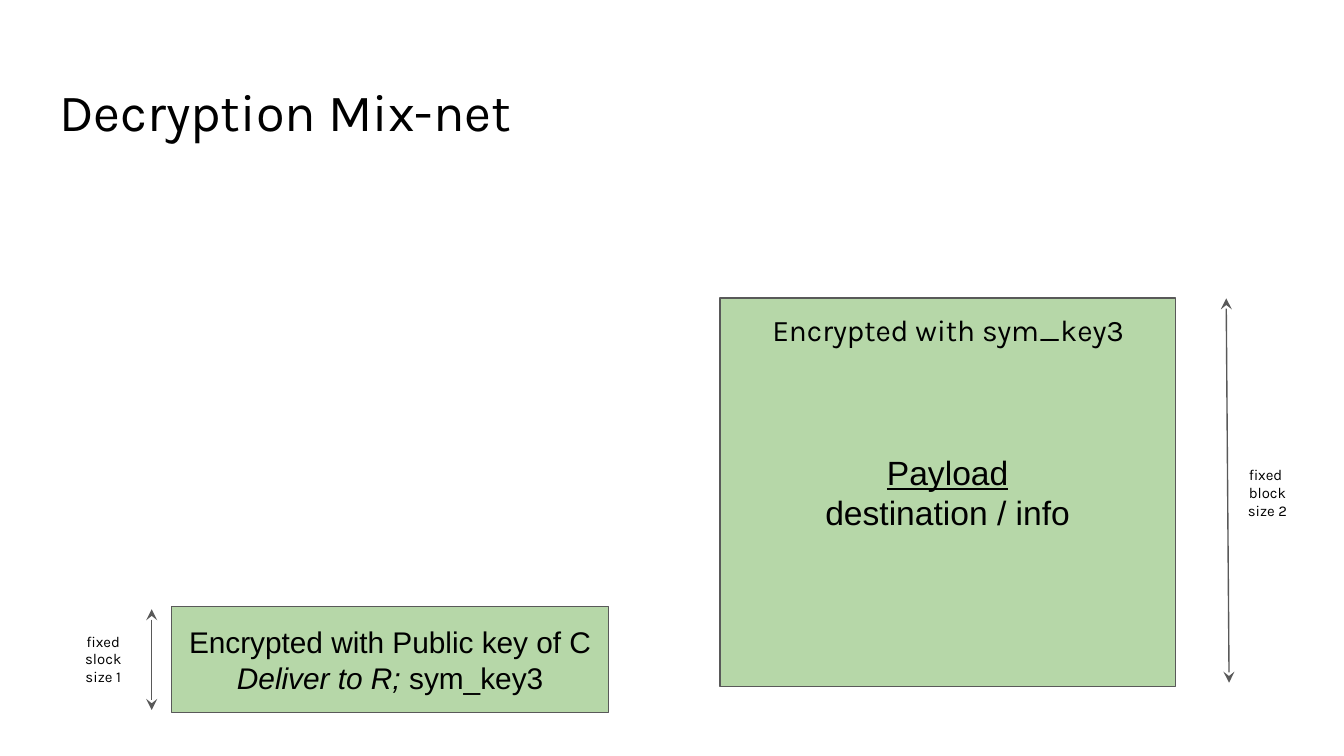
from dataclasses import dataclass

from lxml.etree import SubElement
from pptx import Presentation
from pptx.dml.color import RGBColor
from pptx.enum.shapes import MSO_CONNECTOR, MSO_SHAPE
from pptx.enum.text import MSO_ANCHOR, PP_ALIGN
from pptx.oxml.ns import qn
from pptx.util import Inches, Pt


@dataclass(frozen=True)
class Theme:
    """Colours, fonts and type sizes of the deck."""
    ink: RGBColor = RGBColor(0x00, 0x00, 0x00)
    edge: RGBColor = RGBColor(0x59, 0x59, 0x59)
    cipher: RGBColor = RGBColor(0xB6, 0xD7, 0xA8)
    display: str = "Karla"
    body: str = "Arial"
    title: int = 28
    payload: int = 18
    block: int = 16
    label: int = 8
    stroke: float = 0.75


def write(paragraph, text, *, size, font, color, italic=False, underline=False):
    """Append formatted text to a paragraph."""
    run = paragraph.add_run()
    run.text = text
    run.font.size = Pt(size)
    run.font.name = font
    run.font.color.rgb = color
    run.font.italic = italic
    run.font.underline = underline


class SlideBuilder:
    """Draw elements on a grid of tenth-inch columns and rows."""

    def __init__(self, slide, theme):
        """Keep the current slide and its style."""
        self.slide = slide
        self.theme = theme

    def cells(self, *lengths):
        """Convert grid columns or rows to slide lengths."""
        return [Inches(length / 10) for length in lengths]

    def fill_text(self, shape, lines, size, font, align, anchor):
        """Write lines, each a list of (text, emphasis) pairs."""
        frame = shape.text_frame
        frame.word_wrap = True
        frame.vertical_anchor = anchor
        frame.margin_left = frame.margin_right = Inches(0.1)
        frame.margin_top = frame.margin_bottom = Inches(0.1)
        for index, line in enumerate(lines):
            paragraph = frame.add_paragraph() if index else frame.paragraphs[0]
            paragraph.alignment = align
            for text, emphasis in line:
                write(paragraph, text, size=size, font=font,
                      color=self.theme.ink, **emphasis)

    def text(self, area, lines, size, align=PP_ALIGN.CENTER):
        """Add display text in a transparent box."""
        box = self.slide.shapes.add_textbox(*self.cells(*area))
        self.fill_text(box, [[(line, {})] for line in lines], size,
                       self.theme.display, align, MSO_ANCHOR.TOP)

    def block(self, area, lines, size):
        """Add a block of encrypted content."""
        block = self.slide.shapes.add_shape(MSO_SHAPE.RECTANGLE, *self.cells(*area))
        block.shadow.inherit = False
        block.fill.solid()
        block.fill.fore_color.rgb = self.theme.cipher
        block.line.color.rgb = self.theme.edge
        block.line.width = Pt(self.theme.stroke)
        self.fill_text(block, lines, size, self.theme.body,
                       PP_ALIGN.CENTER, MSO_ANCHOR.MIDDLE)

    def span(self, start, end):
        """Add a double-headed size arrow."""
        arrow = self.slide.shapes.add_connector(
            MSO_CONNECTOR.STRAIGHT, *self.cells(*start, *end))
        arrow.line.color.rgb = self.theme.edge
        arrow.line.width = Pt(self.theme.stroke)
        outline = arrow.line._get_or_add_ln()
        for tag in ("a:headEnd", "a:tailEnd"):
            SubElement(outline, qn(tag), type="stealth", w="med", len="med")
        SubElement(arrow._element.spPr, qn("a:effectLst"))


def main():
    """Build the slide on decryption mix-nets."""
    deck = Presentation()
    deck.slide_width = Inches(10)
    deck.slide_height = deck.slide_width * 9 // 16
    theme = Theme()
    builder = SlideBuilder(deck.slides.add_slide(deck.slide_layouts[6]), theme)

    builder.text((3.41, 4.87, 93.2, 6.3), ["Decryption Mix-net"],
                 theme.title, PP_ALIGN.LEFT)

    builder.block((12.78, 45.13, 32.5, 7.9), [
        [("Encrypted with Public key of C", {})],
        [("Deliver to R;", {"italic": True}), (" sym_key3", {})],
    ], theme.block)
    builder.block((53.56, 22.18, 33.9, 28.9), [
        [("Payload", {"underline": True})],
        [("destination / info", {})],
    ], theme.payload)
    builder.text((51.86, 22.2, 37.4, 4.7), ["Encrypted with sym_key3"], theme.block)

    builder.span((11.29, 45.33), (11.29, 52.83))
    builder.text((4.84, 46.04, 5.7, 6.1), ["fixed slock size 1"], theme.label)
    builder.span((91.24, 22.2), (91.45, 50.8))
    builder.text((91.46, 33.64, 5.7, 6.1), ["fixed ", "block", "size 2"], theme.label)

    deck.save("out.pptx")


if __name__ == "__main__":
    main()
